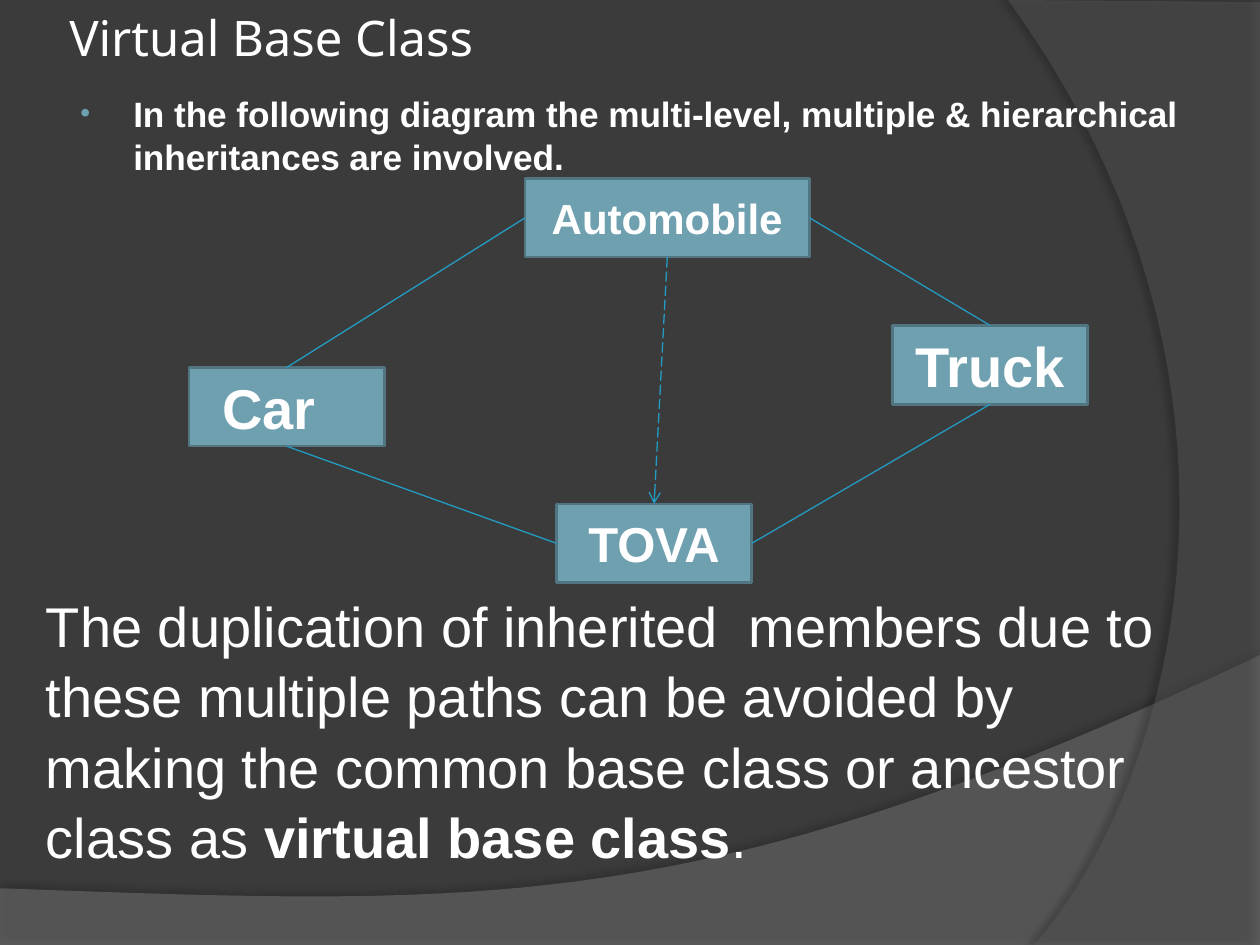
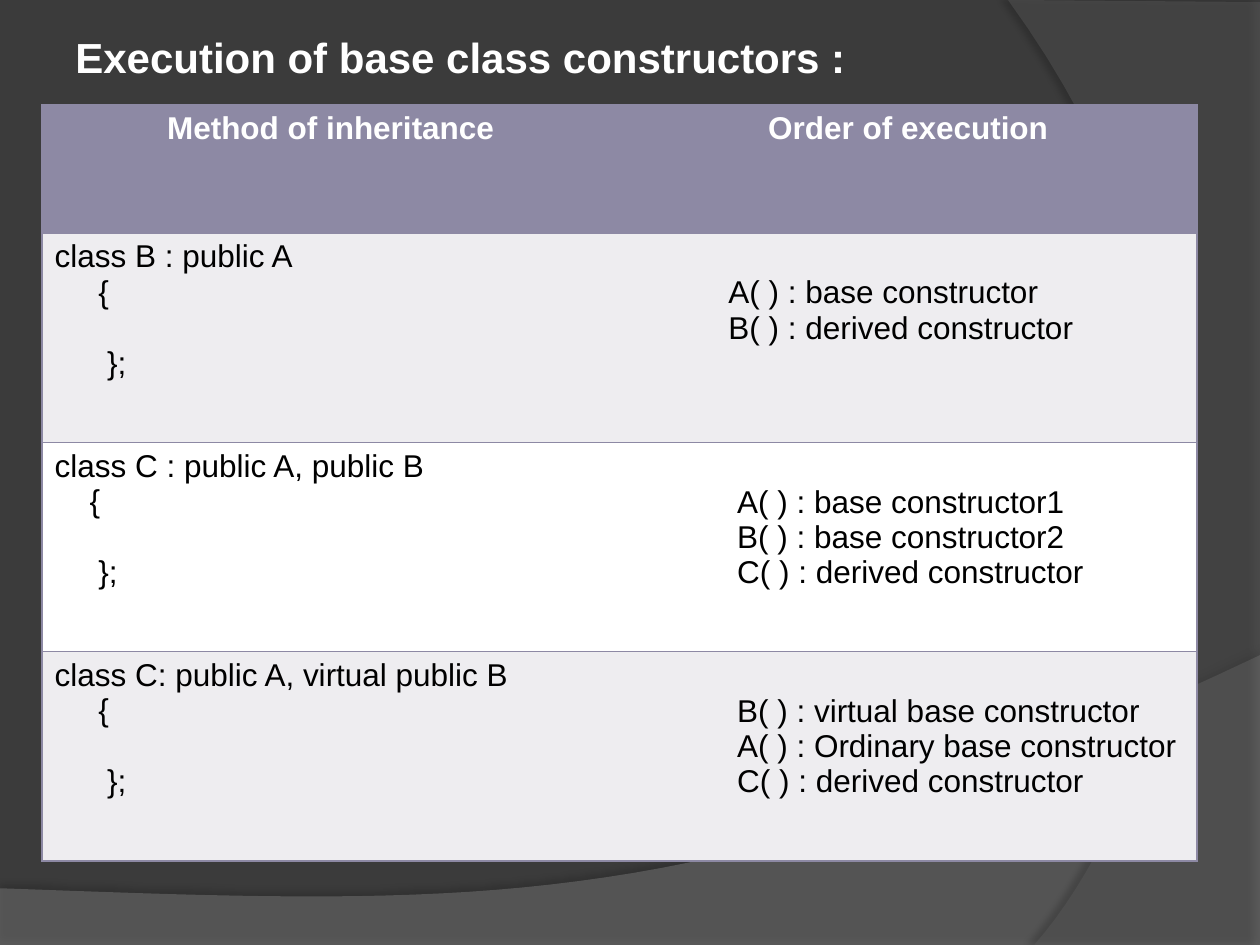
from lxml import etree
from pptx import Presentation
from pptx.dml.color import RGBColor
from pptx.enum.dml import MSO_LINE
from pptx.enum.shapes import MSO_CONNECTOR, MSO_SHAPE
from pptx.enum.text import MSO_ANCHOR, PP_ALIGN
from pptx.oxml.ns import qn
from pptx.util import Inches, Pt

RECTANGLE = MSO_SHAPE.RECTANGLE
STRAIGHT = MSO_CONNECTOR.STRAIGHT
LONG_DASH = MSO_LINE.LONG_DASH
MIDDLE, TOP_ANCHOR = MSO_ANCHOR.MIDDLE, MSO_ANCHOR.TOP
CENTER, LEFT_ALIGN = PP_ALIGN.CENTER, PP_ALIGN.LEFT
TOP, LEFT, BOTTOM, RIGHT = range(4)  # connection sites of a rectangle

UNIT = Inches(1 / 12)  # side of one grid square
COLUMNS, ROWS = 120, 90

BACKGROUND, WHITE, BLACK = "3B3B3B", "FFFFFF", "000000"
TEAL, TEAL_EDGE, LINK = "6EA0B0", "517682", "239BC2"
MAUVE, PALE = "8D89A4", "EEEDF0"

TITLE = {"name": "Noto Sans", "size": Pt(28)}
LEAD = {"name": "Arial", "size": Pt(20.1), "bold": True}
HEADING = {"name": "Arial", "size": Pt(24), "bold": True}
STATEMENT = {"name": "Arial", "size": Pt(32), "bold": False}
CELL = {"name": "Arial", "size": Pt(18), "bold": False}
CELL_HEAD = CELL | {"bold": True}
SPACE = 0.278 * 18 / 72 * 12  # grid width of one 18 pt space
CODE_LINE = Pt(20.5)

# Corners of each band, then the two handles and end of its closing curve
BANDS = [
    {"corners": [(0, 84.6), (0, 90), (120, 90), (120, 62.4)],
     "curve": [(67.1, 87.5), (46.9, 86.3), (0, 84.6)],
     "fill": "7F7F7F", "opacity": 45, "shade": 35, "distance": 3.5, "angle": 270},
    {"corners": [(120, 0.2), (120, 90), (98.5, 90)],
     "curve": [(112.2, 74.3), (122.2, 36), (96, 0)],
     "fill": "5E5E5E", "opacity": 40, "shade": 45, "distance": 4, "angle": 180},
]


def rgb(value):
    return RGBColor.from_string(value)


def grid(*lengths):
    return [round(length * UNIT) for length in lengths]


def apply(target, formats):
    for attribute, value in formats.items():
        setattr(target, attribute, value)


def child(parent, tag, **attributes):
    return etree.SubElement(parent, qn(tag), {k: str(v) for k, v in attributes.items()})


def bezier(start, first, second, end, steps=40):
    """Points along a cubic curve, without its start."""
    points = []
    for step in range(1, steps + 1):
        t = step / steps
        weights = ((1 - t) ** 3, 3 * t * (1 - t) ** 2, 3 * t * t * (1 - t), t ** 3)
        points.append(tuple(
            sum(weight * value for weight, value in zip(weights, axis))
            for axis in zip(start, first, second, end)))
    return points


class Deck:
    def __init__(self):
        self.presentation = Presentation()
        self.presentation.slide_width, self.presentation.slide_height = grid(COLUMNS, ROWS)
        self.shapes = None

    def new_slide(self):
        slide = self.presentation.slides.add_slide(self.presentation.slide_layouts[6])
        slide.background.fill.solid()
        slide.background.fill.fore_color.rgb = rgb(BACKGROUND)
        self.shapes = slide.shapes
        for band in BANDS:
            self.band(**band)

    def band(self, corners, curve, fill, opacity, shade, distance, angle):
        outline = corners + bezier(corners[-1], *curve)
        start, *others = [tuple(grid(*point)) for point in outline]
        builder = self.shapes.build_freeform(*start)
        builder.add_line_segments(others)
        shape = builder.convert_to_shape()
        shape.fill.solid()
        shape.fill.fore_color.rgb = rgb(fill)
        shape.line.fill.background()
        properties = shape.element.spPr
        child(properties.find(".//" + qn("a:srgbClr")), "a:alpha", val=opacity * 1000)
        shadow = child(child(properties, "a:effectLst"), "a:outerShdw", blurRad=Pt(4),
                       dist=Pt(distance), dir=angle * 60000, rotWithShape=0)
        child(child(shadow, "a:srgbClr", val=BLACK), "a:alpha", val=shade * 1000)

    def add_text(self, paragraph, text, font, color=WHITE, **formats):
        """Append a run to a paragraph."""
        apply(paragraph, formats)
        run = paragraph.add_run()
        run.text = text
        apply(run.font, font)
        run.font.color.rgb = rgb(color)

    def text_box(self, box, text, font, frame=None, **formats):
        text_frame = self.shapes.add_textbox(*grid(*box)).text_frame
        apply(text_frame, {"word_wrap": True} | (frame or {}))
        self.add_text(text_frame.paragraphs[0], text, font, **formats)
        return text_frame.paragraphs[0]

    def bullet(self, paragraph, color, indent, hanging):
        properties = paragraph._p.get_or_add_pPr()
        properties.set("marL", str(Inches(indent)))
        properties.set("indent", str(-Inches(hanging)))
        child(child(properties, "a:buClr"), "a:srgbClr", val=color)
        child(properties, "a:buSzPct", val=80000)
        child(properties, "a:buFont", typeface="Arial")
        child(properties, "a:buChar", char="•")

    def class_box(self, name, left, top, size, width=18.6, **frame):
        shape = self.shapes.add_shape(RECTANGLE, *grid(left, top, width, 7.5))
        shape.shadow.inherit = False
        shape.fill.solid()
        shape.fill.fore_color.rgb = rgb(TEAL)
        shape.line.color.rgb = rgb(TEAL_EDGE)
        shape.line.width = Pt(1.5)
        apply(shape.text_frame, {"vertical_anchor": MIDDLE, "word_wrap": True} | frame)
        self.add_text(shape.text_frame.paragraphs[0], name,
                      HEADING | {"size": Pt(size)}, alignment=CENTER)
        return shape

    def link(self, source, source_site, target, target_site, dashed_arrow=False):
        connector = self.shapes.add_connector(STRAIGHT, 0, 0, 0, 0)
        connector.begin_connect(source, source_site)
        connector.end_connect(target, target_site)
        connector.line.color.rgb = rgb(LINK)
        connector.line.width = Pt(0.75)
        if dashed_arrow:
            connector.line.dash_style = LONG_DASH
            child(connector.line._get_or_add_ln(), "a:tailEnd", type="arrow")
        child(connector._element.spPr, "a:effectLst")

    def table(self, box, row_heights, rows):
        """Each cell is a list of (indent in spaces, blank lines before, text)."""
        table = self.shapes.add_table(len(rows), len(rows[0]), *grid(*box)).table
        for row, height in zip(table.rows, grid(*row_heights)):
            row.height = height
        for row_index, row in enumerate(rows):
            head = row_index == 0
            fill = MAUVE if head else (WHITE, PALE)[row_index % 2]
            style = {"font": CELL_HEAD if head else CELL,
                     "color": WHITE if head else BLACK,
                     "alignment": CENTER if head else LEFT_ALIGN}
            for column_index, lines in enumerate(row):
                cell = table.cell(row_index, column_index)
                self.fill_cell(cell, fill, lines, style)
                self.border_cell(cell, {
                    "L": column_index == 0, "R": column_index == len(row) - 1,
                    "T": True, "B": True})

    def fill_cell(self, cell, fill, lines, style):
        cell.fill.solid()
        cell.fill.fore_color.rgb = rgb(fill)
        cell.vertical_anchor = TOP_ANCHOR
        cell.margin_top = Inches(0.05) + lines[0][1] * CODE_LINE
        for index, (indent, gap, text) in enumerate(lines):
            frame = cell.text_frame
            paragraph = frame.add_paragraph() if index else frame.paragraphs[0]
            self.add_text(paragraph, text, **style)
            if indent:
                paragraph._p.get_or_add_pPr().set("marL", str(grid(indent * SPACE)[0]))
            if index and gap:
                paragraph.space_before = gap * CODE_LINE

    def border_cell(self, cell, visible):
        properties = cell._tc.get_or_add_tcPr()
        for position, (side, shown) in enumerate(visible.items()):
            edge = child(properties, "a:ln" + side, w=Pt(1))
            if shown:
                child(child(edge, "a:solidFill"), "a:srgbClr", val=MAUVE)
            else:
                child(edge, "a:noFill")
            properties.insert(position, edge)


def virtual_base_class(deck):
    deck.new_slide()
    inset = dict.fromkeys(
        ("margin_left", "margin_right", "margin_top", "margin_bottom"), Inches(0.05))
    deck.text_box((6, 0, 108, 7), "Virtual Base Class", TITLE,
                  inset | {"vertical_anchor": MIDDLE})
    lead = deck.text_box(
        (6, 8, 108, 8),
        "In the following diagram the multi-level, multiple & hierarchical "
        "inheritances are involved.", LEAD, {"margin_right": 0}, line_spacing=1.04)
    deck.bullet(lead, TEAL, 0.46, 0.42)

    automobile = deck.class_box("Automobile", 50, 17, 24, width=27.1)
    maker = deck.class_box("TOVA", 53, 48, 28)
    car = deck.class_box("Car", 18, 35, 32, margin_right=Inches(0.38))
    truck = deck.class_box("Truck", 85, 31, 32)
    deck.link(automobile, RIGHT, truck, TOP)
    deck.link(automobile, LEFT, car, TOP)
    deck.link(car, BOTTOM, maker, LEFT)
    deck.link(truck, BOTTOM, maker, RIGHT)
    deck.link(automobile, BOTTOM, maker, TOP, dashed_arrow=True)

    conclusion = deck.text_box(
        (3.2, 55.4, 113, 27),
        "The duplication of inherited  members due to these multiple paths can be "
        "avoided by making the common base class or ancestor class as ",
        STATEMENT, line_spacing=1.05)
    deck.add_text(conclusion, "virtual base class", STATEMENT | {"bold": True})
    deck.add_text(conclusion, ".", STATEMENT)


def constructor_order(deck):
    def declaration(header, brace_indent):
        return [(0, 0, header), (brace_indent, 0, "{"), (brace_indent + 1, 1, "};")]

    def calls(indent, *constructors):
        return [(indent, int(index == 0), text) for index, text in enumerate(constructors)]

    deck.new_slide()
    deck.text_box((6, 2.4, 108, 6), "Execution of base class constructors :", HEADING)
    deck.table((4, 10, 110, 72), (12.2, 19.93, 19.93, 19.93), [
        [[(0, 0, "Method of inheritance")], [(0, 0, "Order of execution")]],
        [declaration("class B : public A", 5),
         calls(11, "A( ) : base constructor", "B( ) : derived constructor")],
        [declaration("class C : public A, public B", 4),
         calls(12, "A( ) : base constructor1", "B( ) : base constructor2",
               "C( ) : derived constructor")],
        [declaration("class C: public A, virtual public B", 5),
         calls(12, "B( ) : virtual base constructor",
               "A( ) : Ordinary base constructor", "C( ) : derived constructor")],
    ])


def main():
    deck = Deck()
    virtual_base_class(deck)
    constructor_order(deck)
    deck.presentation.save("out.pptx")


if __name__ == "__main__":
    main()
